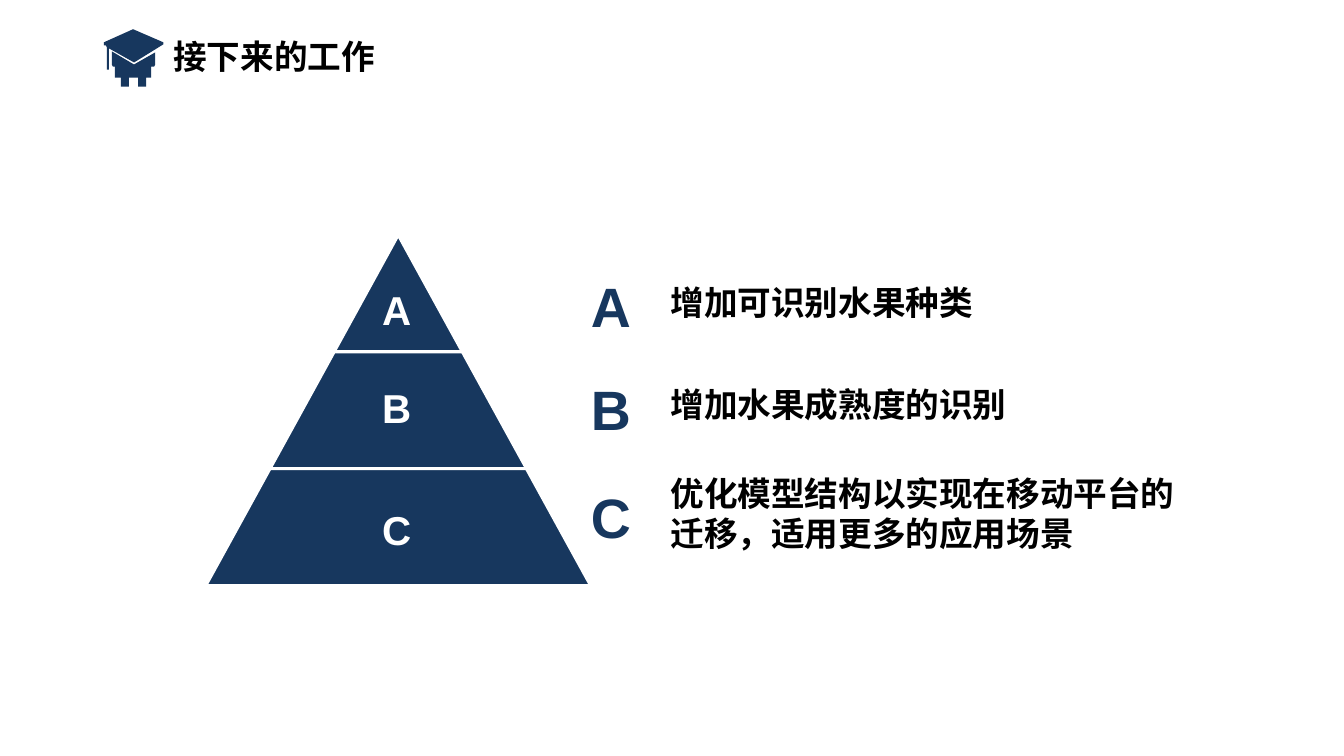
from pptx import Presentation
from pptx import util as u
from pptx.dml.color import RGBColor
from pptx.enum import shapes, text
from pptx.oxml.ns import qn
from lxml import etree

WIDTH, HEIGHT = 13.33, 7.5
NAVY, WHITE, BLACK = "17375E", "FFFFFF", "000000"
LATIN, CHINESE = "Arial", "Noto Sans CJK SC"

# Pyramid grid: each tier is one column wider than the tier above it.
APEX_X, APEX_Y = 3.95, 2.33
COLUMN, ROW = 1.273, 1.16
SLOPE = 0.549

KEY_X, KEY_WIDTH = 5.86, 0.4
GOAL_X = 6.56

# letter, middle of tier letter, middle of key letter, goal top, goal size, goal
STEPS = [
    ("A", 3.07, 3.03, 2.76, (3.56, 0.49), "增加可识别水果种类"),
    ("B", 4.04, 4.05, 3.77, (3.67, 0.49), "增加水果成熟度的识别"),
    ("C", 5.25, 5.12, 4.65, (5.34, 0.9),
     "优化模型结构以实现在移动平台的迁移，适用更多的应用场景"),
]

CAP = [(1.03, 0.45), (1.05, 0.45), (1.06, 0.47), (1.06, 0.69), (1.08, 0.69),
       (1.08, 0.48), (1.33, 0.62), (1.62, 0.44), (1.62, 0.42), (1.32, 0.29),
       (1.03, 0.42)]
HEAD = [(1.11, 0.51), (1.33, 0.64), (1.54, 0.52), (1.54, 0.64), (1.53, 0.66),
        (1.5, 0.66), (1.5, 0.77), (1.45, 0.77), (1.45, 0.86), (1.37, 0.86),
        (1.37, 0.77), (1.28, 0.77), (1.28, 0.86), (1.2, 0.86), (1.2, 0.77),
        (1.14, 0.77), (1.14, 0.66), (1.12, 0.66), (1.11, 0.64)]


def color(value):
    return RGBColor.from_string(value)


def paint(shape, fill, line=None, weight=2.25):
    shape.shadow.inherit = False
    shape.fill.solid()
    shape.fill.fore_color.rgb = color(fill)
    if line:
        shape.line.color.rgb = color(line)
        shape.line.width = u.Pt(weight)
    else:
        shape.line.fill.background()


def add_text(slide, words, left, top, width, height, *, size=24, font=CHINESE,
             ink=BLACK, align=text.PP_ALIGN.LEFT, anchor=text.MSO_ANCHOR.TOP,
             margins=(0.1, 0.05), wrap=True):
    box = slide.shapes.add_textbox(*map(u.Inches, (left, top, width, height)))
    frame = box.text_frame
    frame.word_wrap = wrap
    frame.vertical_anchor = anchor
    frame.margin_left = frame.margin_right = u.Inches(margins[0])
    frame.margin_top = frame.margin_bottom = u.Inches(margins[1])
    paragraph = frame.paragraphs[0]
    paragraph.alignment = align
    run = paragraph.add_run()
    run.text = words
    run.font.size = u.Pt(size)
    run.font.bold = True
    run.font.color.rgb = color(ink)
    run.font.name = font
    east_asian = etree.SubElement(run.font._element, qn("a:ea"))
    east_asian.set("typeface", font)


def add_letter(slide, letter, left, middle, width, height, size, ink):
    """Place a letter centred on the given middle line."""
    add_text(slide, letter, left, middle - height / 2, width, height,
             size=size, font=LATIN, ink=ink, align=text.PP_ALIGN.CENTER,
             anchor=text.MSO_ANCHOR.MIDDLE, margins=(0, 0), wrap=False)


def add_outline(slide, points):
    scaled = [(u.Inches(x), u.Inches(y)) for x, y in points]
    builder = slide.shapes.build_freeform(*scaled[0])
    builder.add_line_segments(scaled[1:], close=True)
    paint(builder.convert_to_shape(), NAVY)


def add_tier(slide, index):
    width = COLUMN * (index + 1)
    tier = slide.shapes.add_shape(
        shapes.MSO_SHAPE.TRAPEZOID, u.Inches(APEX_X - width / 2),
        u.Inches(APEX_Y + index * ROW), u.Inches(width), u.Inches(ROW))
    tier.adjustments[0] = SLOPE
    paint(tier, NAVY, WHITE)


def main():
    presentation = Presentation()
    presentation.slide_width = u.Inches(WIDTH)
    presentation.slide_height = u.Inches(HEIGHT)
    slide = presentation.slides.add_slide(presentation.slide_layouts[6])

    for outline in (CAP, HEAD):
        add_outline(slide, outline)
    add_text(slide, "接下来的工作", 1.62, 0.31, 4.57, 0.5)

    for index in range(len(STEPS)):
        add_tier(slide, index)
    for letter, tier_middle, key_middle, goal_top, goal_size, goal in STEPS:
        add_letter(slide, letter, APEX_X - 0.16, tier_middle, 0.29, 0.48,
                   28.8, WHITE)
        add_letter(slide, letter, KEY_X, key_middle, KEY_WIDTH, 0.67,
                   39.6, NAVY)
        add_text(slide, goal, GOAL_X, goal_top, *goal_size,
                 margins=(0.09, 0.04))

    presentation.save("out.pptx")


if __name__ == "__main__":
    main()
